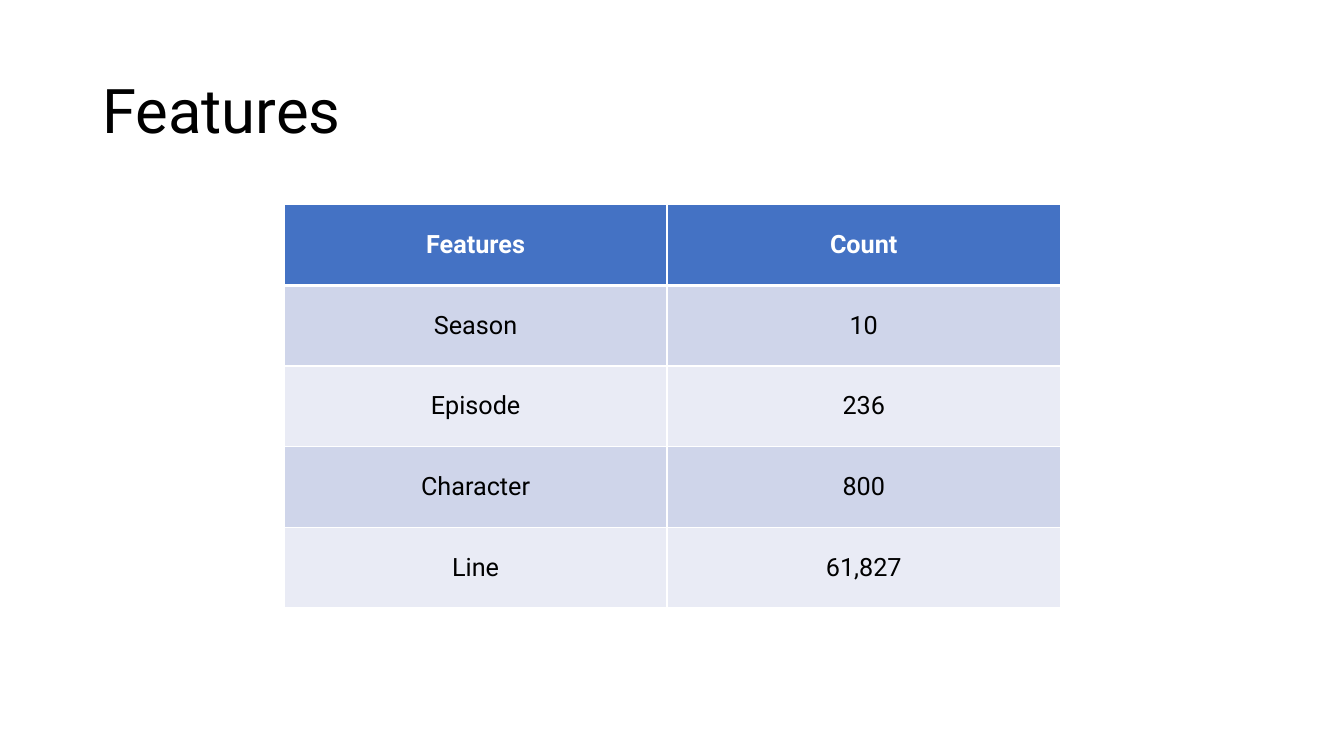
from lxml.etree import SubElement
from pptx import Presentation
from pptx.dml.color import RGBColor
from pptx.enum.text import MSO_ANCHOR, PP_ALIGN
from pptx.oxml.ns import qn
from pptx.util import Pt

COLORS = {
    "white": "FFFFFF",
    "black": "000000",
    "header": "4472C4",
    "odd_row": "CFD5EA",
    "even_row": "E9EBF5",
}
FONT = "Roboto"
FEATURE_COUNTS = [
    ("Features", "Count"),
    ("Season", "10"),
    ("Episode", "236"),
    ("Character", "800"),
    ("Line", "61,827"),
]
COLUMN_WIDTHS = [273.5, 281]
ROW_HEIGHT = 57.6


def style_paragraph(paragraph, size, color, bold=False):
    font = paragraph.font
    font.name = FONT
    font.size = Pt(size)
    font.bold = bold
    font.color.rgb = RGBColor.from_string(COLORS[color])


def add_border(cell, side, width):
    line = SubElement(cell._tc.get_or_add_tcPr(), qn(f"a:ln{side}"), w=str(Pt(width)))
    fill = SubElement(line, qn("a:solidFill"))
    SubElement(fill, qn("a:srgbClr"), val=COLORS["white"])


prs = Presentation()
prs.slide_width, prs.slide_height = Pt(960), Pt(540)
slide = prs.slides.add_slide(prs.slide_layouts[6])

# Title
title = slide.shapes.add_textbox(Pt(66), Pt(28.75), Pt(828), Pt(104.4)).text_frame
title.word_wrap = True
title.vertical_anchor = MSO_ANCHOR.MIDDLE
title.text = "Features"
title.paragraphs[0].line_spacing = 0.9
style_paragraph(title.paragraphs[0], 44, "black")

# Feature table
row_count = len(FEATURE_COUNTS)
features = slide.shapes.add_table(
    row_count, len(COLUMN_WIDTHS), Pt(203), Pt(146.3),
    Pt(sum(COLUMN_WIDTHS)), Pt(ROW_HEIGHT * row_count),
).table
for column, width in zip(features.columns, COLUMN_WIDTHS):
    column.width = Pt(width)

for r, labels in enumerate(FEATURE_COUNTS):
    is_header = r == 0
    row_color = "header" if is_header else ("odd_row" if r % 2 else "even_row")
    features.rows[r].height = Pt(ROW_HEIGHT)
    for c, label in enumerate(labels):
        cell = features.cell(r, c)
        cell.text = label
        cell.vertical_anchor = MSO_ANCHOR.MIDDLE
        paragraph = cell.text_frame.paragraphs[0]
        paragraph.alignment = PP_ALIGN.CENTER
        style_paragraph(paragraph, 18, "white" if is_header else "black", is_header)
        # White grid with a heavier rule under the header
        for side, width in (("L", 1), ("R", 1), ("T", 3 if r == 1 else 1),
                            ("B", 3 if is_header else 1)):
            add_border(cell, side, width)
        cell.fill.solid()
        cell.fill.fore_color.rgb = RGBColor.from_string(COLORS[row_color])

prs.save("out.pptx")
